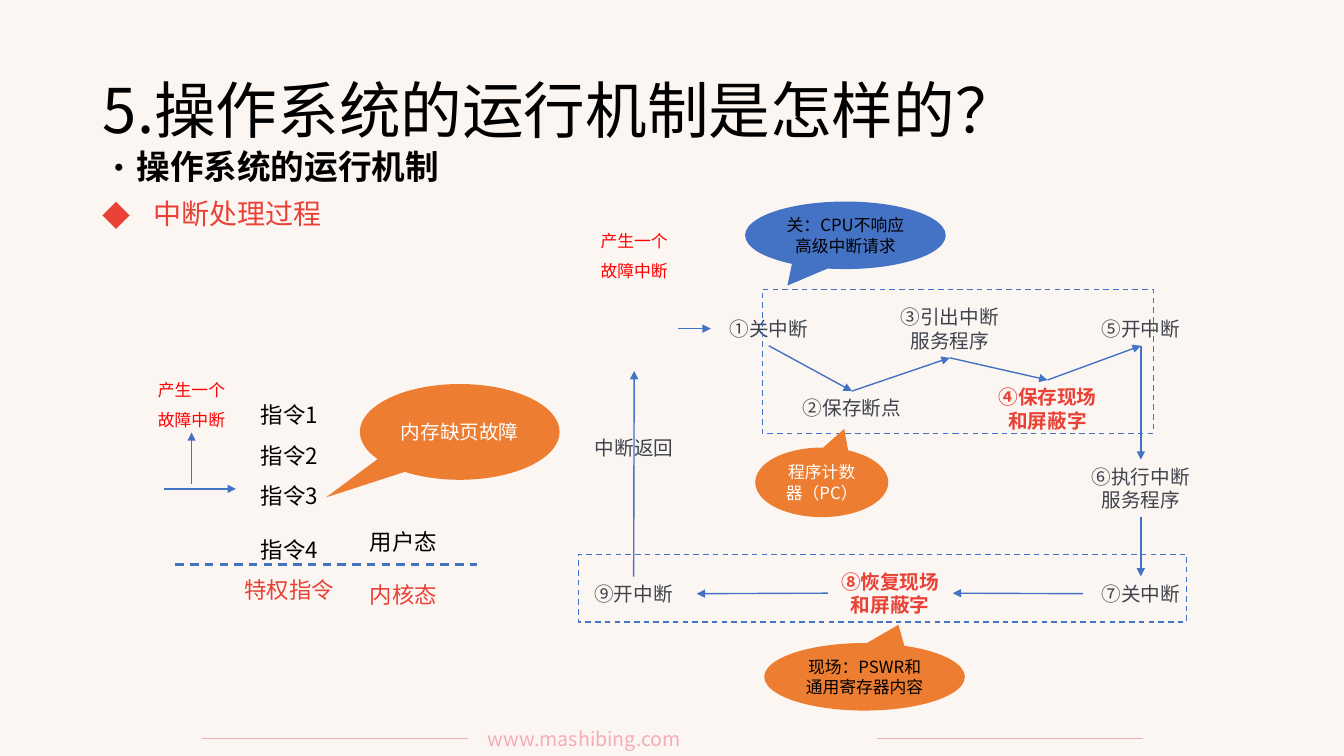
from lxml import etree
from pptx import Presentation
from pptx.dml.color import RGBColor
from pptx.enum.dml import MSO_LINE
from pptx.enum.shapes import MSO_CONNECTOR, MSO_SHAPE
from pptx.enum.text import MSO_ANCHOR, MSO_AUTO_SIZE, PP_ALIGN
from pptx.oxml.ns import qn
from pptx.util import Inches, Pt

FONT = "Noto Sans CJK SC"
CREAM = RGBColor(0xFC, 0xF6, 0xF3)
PINK = RGBColor(0xF4, 0xAC, 0xBA)
BLACK = RGBColor(0, 0, 0)
WHITE = RGBColor(0xFF, 0xFF, 0xFF)
GRAY = RGBColor(0x3F, 0x43, 0x4C)
CORAL = RGBColor(0xE9, 0x41, 0x36)
RED = RGBColor(0xFF, 0, 0)
BLUE = RGBColor(0x44, 0x72, 0xC4)
ORANGE = RGBColor(0xED, 0x7D, 0x31)
STRAIGHT = MSO_CONNECTOR.STRAIGHT
DASH = MSO_LINE.DASH
RECTANGLE, CALLOUT = MSO_SHAPE.RECTANGLE, MSO_SHAPE.OVAL_CALLOUT
LEFT, CENTER, JUSTIFY = PP_ALIGN.LEFT, PP_ALIGN.CENTER, PP_ALIGN.JUSTIFY
MIDDLE, TOP_ANCHOR = MSO_ANCHOR.MIDDLE, MSO_ANCHOR.TOP
FIT_SHAPE, NO_FIT = MSO_AUTO_SIZE.SHAPE_TO_FIT_TEXT, MSO_AUTO_SIZE.NONE
TOP, WEST, BOTTOM, EAST = range(4)  # connection sites of a rectangle


def inches(values):
    return [Inches(value) for value in values]


def style_paragraph(paragraph, size, color, bold=False, align=CENTER, spacing=1.0):
    paragraph.alignment = align
    paragraph.line_spacing = spacing
    for run in paragraph.runs:
        run.font.size = Pt(size)
        run.font.name = FONT
        run.font.bold = bold
        run.font.color.rgb = color
        east_asian = etree.Element(qn("a:ea"), typeface=FONT)
        run.font._element.find(qn("a:latin")).addnext(east_asian)


def add_label(slide, box, text, size, color, bold=False, align=CENTER, spacing=1.0):
    label = slide.shapes.add_textbox(*inches(box))
    frame = label.text_frame
    frame.word_wrap = True
    frame.auto_size = FIT_SHAPE
    frame.text = text
    for paragraph in frame.paragraphs:
        style_paragraph(paragraph, size, color, bold, align, spacing)
    return label


def add_line(slide, start, end, color=BLUE, width=1.0, dashed=False, arrow=False):
    line = slide.shapes.add_connector(STRAIGHT, *inches(start + end))
    line.line.color.rgb = color
    line.line.width = Pt(width)
    if dashed:
        line.line.dash_style = DASH
    if arrow:
        etree.SubElement(line.line._get_or_add_ln(), qn("a:tailEnd"), type="triangle")
    etree.SubElement(line._element.spPr, qn("a:effectLst"))
    return line


def add_frame(slide, box):
    frame = slide.shapes.add_shape(RECTANGLE, *inches(box))
    frame.shadow.inherit = False
    frame.fill.background()
    frame.line.color.rgb = BLUE
    frame.line.width = Pt(1)
    frame.line.dash_style = DASH


def add_callout(slide, box, text, tip, fill, color, size=12):
    callout = slide.shapes.add_shape(CALLOUT, *inches(box))
    callout.shadow.inherit = False
    callout.adjustments[0], callout.adjustments[1] = tip
    callout.fill.solid()
    callout.fill.fore_color.rgb = fill
    callout.line.fill.background()
    callout.text_frame.word_wrap = True
    callout.text_frame.vertical_anchor = MIDDLE
    callout.text_frame.text = text
    for paragraph in callout.text_frame.paragraphs:
        style_paragraph(paragraph, size, color)


def add_fault_label(slide, left, top):
    return add_label(slide, (left, top, 0.94, 0.67), "产生一个\n故障中断", 12, RED, spacing=1.5)


def add_bullet(paragraph, character, indent):
    properties = paragraph._p.get_or_add_pPr()
    properties.set("marL", str(Inches(indent)))
    properties.set("indent", str(-Inches(indent)))
    etree.SubElement(properties, qn("a:buFont"), typeface=FONT)
    etree.SubElement(properties, qn("a:buChar"), char=character)


def place(shape, box):
    shape.left, shape.top, shape.width, shape.height = inches(box)
    shape.text_frame.auto_size = NO_FIT
    shape.text_frame.word_wrap = True


def fill_title(slide, box):
    title = slide.shapes.title
    place(title, box)
    title.text_frame.vertical_anchor = MIDDLE
    title.text_frame.text = "5.操作系统的运行机制是怎样的？"
    style_paragraph(title.text_frame.paragraphs[0], 44, BLACK, align=LEFT, spacing=0.9)


def fill_body(slide, box):
    body = slide.placeholders[1]
    place(body, box)
    body.text_frame.vertical_anchor = TOP_ANCHOR
    body.text_frame.text = "操作系统的运行机制\n中断处理过程"
    heading, topic = body.text_frame.paragraphs
    topic.level = 1
    add_bullet(heading, "•", 0.25)
    add_bullet(topic, "◆", 0.5)
    style_paragraph(heading, 24, BLACK, bold=True, align=LEFT, spacing=0.9)
    style_paragraph(topic, 20, CORAL, align=LEFT, spacing=0.9)
    heading.space_before = Pt(0)
    topic.space_before = Pt(10)


def draw_footer(slide, box):
    left, top, width, _ = box
    rule_top, rule_width = top + 0.17, 2.64
    for start in (left, left + width - rule_width):
        add_line(slide, (start, rule_top), (start + rule_width, rule_top), PINK, 0.5)
    add_label(slide, (left + 2.74, top, 3.85, 0.34), "www.mashibing.com", 14, PINK, align=JUSTIFY)


def draw_instructions(slide, box):
    left, top, width, _ = box
    # Instruction list and processor modes
    instructions = add_label(slide, (left + 0.82, top + 0.18, 1.24, 2.21),
                             "指令1\n指令2\n指令3\n指令4\n特权指令", 16, BLACK, spacing=1.5)
    instructions.text_frame.paragraphs[3].line_spacing = 2.0
    modes = add_label(slide, (left + 1.95, top + 1.3, 1.24, 1.1),
                      "用户态\n内核态", 16, BLACK, spacing=2.0)
    for label in (instructions, modes):
        label.text_frame.paragraphs[-1].runs[0].font.color.rgb = CORAL
    # Border between user mode and kernel mode
    add_line(slide, (left + 0.31, top + 1.98), (left + 3.3, top + 1.98), width=1.5, dashed=True)
    # Fault raised by the third instruction
    add_line(slide, (left + 0.2, top + 1.23), (left + 0.91, top + 1.23), arrow=True)
    add_callout(slide, (left + width - 1.98, top + 0.19, 1.98, 0.95), "内存缺页故障",
                (-0.67, 0.684), ORANGE, WHITE, 14)
    fault = add_fault_label(slide, left, top)
    fault_x = left + 0.47
    add_line(slide, (fault_x, top + 1.18), (fault_x, top + 0.67), arrow=True).end_connect(fault, BOTTOM)


def draw_interrupt_flow(slide, box):
    left, top = box[:2]
    one_line, two_lines = 0.34, 0.57
    # Steps: text, offset from the box, size, emphasis
    step_data = [
        ("①关中断", 1.39, 1.09, 1.15, one_line, False),
        ("②保存断点", 2.17, 1.88, 1.24, one_line, False),
        ("③引出中断\n服务程序", 3.04, 0.98, 1.44, two_lines, False),
        ("④保存现场\n和屏蔽字", 4.11, 1.77, 1.24, two_lines, True),
        ("⑤开中断", 5.08, 1.09, 1.15, one_line, False),
        ("⑥执行中断\n服务程序", 4.96, 2.56, 1.39, two_lines, False),
        ("⑦关中断", 5.08, 3.72, 1.15, one_line, False),
        ("⑧恢复现场\n和屏蔽字", 2.55, 3.6, 1.24, two_lines, True),
        ("⑨开中断", 0, 3.72, 1.25, one_line, False),
    ]
    steps = [add_label(slide, (left + x, top + y, width, height), text, 14,
                       CORAL if strong else GRAY, strong)
             for text, x, y, width, height, strong in step_data]
    add_fault_label(slide, left + 0.16, top + 0.14)
    # Arrows between consecutive steps
    sites = [(BOTTOM, TOP), (TOP, BOTTOM), (BOTTOM, TOP), (TOP, BOTTOM),
             (BOTTOM, TOP), (BOTTOM, TOP), (WEST, EAST), (WEST, EAST)]
    for source, target, (begin, end) in zip(steps, steps[1:], sites):
        arrow = add_line(slide, (left, top), (left, top), arrow=True)
        arrow.begin_connect(source, begin)
        arrow.end_connect(target, end)
    # Entry and return arrows
    add_line(slide, (left + 1.06, top + 1.26), (left + 1.39, top + 1.26),
             arrow=True).end_connect(steps[0], WEST)
    add_line(slide, (left + 0.63, top + 3.72), (left + 0.63, top + 1.68),
             arrow=True).begin_connect(steps[-1], TOP)
    add_label(slide, (left + 0.1, top + 2.28, 1.06, one_line), "中断返回", 14, GRAY)
    # Dashed groups
    add_frame(slide, (left + 1.9, top + 0.87, 3.88, 1.43))
    add_frame(slide, (left + 0.08, top + 3.5, 6.03, 0.67))
    # Explanations
    upward_tip = (0.169, -0.771)
    add_callout(slide, (left + 1.83, top + 2.44, 1.32, 0.69), "程序计数器（PC）",
                upward_tip, ORANGE, WHITE)
    add_callout(slide, (left + 1.92, top + 4.38, 1.99, 0.67), "现场：PSWR和\n通用寄存器内容",
                upward_tip, ORANGE, BLACK)
    add_callout(slide, (left + 1.73, top, 1.99, 0.67), "关：CPU不响应高级中断请求",
                (-0.289, 0.744), BLUE, BLACK)


def main():
    presentation = Presentation()
    presentation.slide_width, presentation.slide_height = inches((13.33, 7.5))
    slide = presentation.slides.add_slide(presentation.slide_layouts[1])
    slide.background.fill.solid()
    slide.background.fill.fore_color.rgb = CREAM
    fill_title(slide, (0.92, 0.4, 11.5, 1.45))
    fill_body(slide, (0.92, 1.44, 11.5, 5.62))
    draw_footer(slide, (2, 7.16, 9.34, 0.34))
    draw_instructions(slide, (1.43, 3.62, 4.12, 2.39))
    draw_interrupt_flow(slide, (5.66, 2, 6.35, 5.05))
    presentation.save("out.pptx")


if __name__ == "__main__":
    main()
